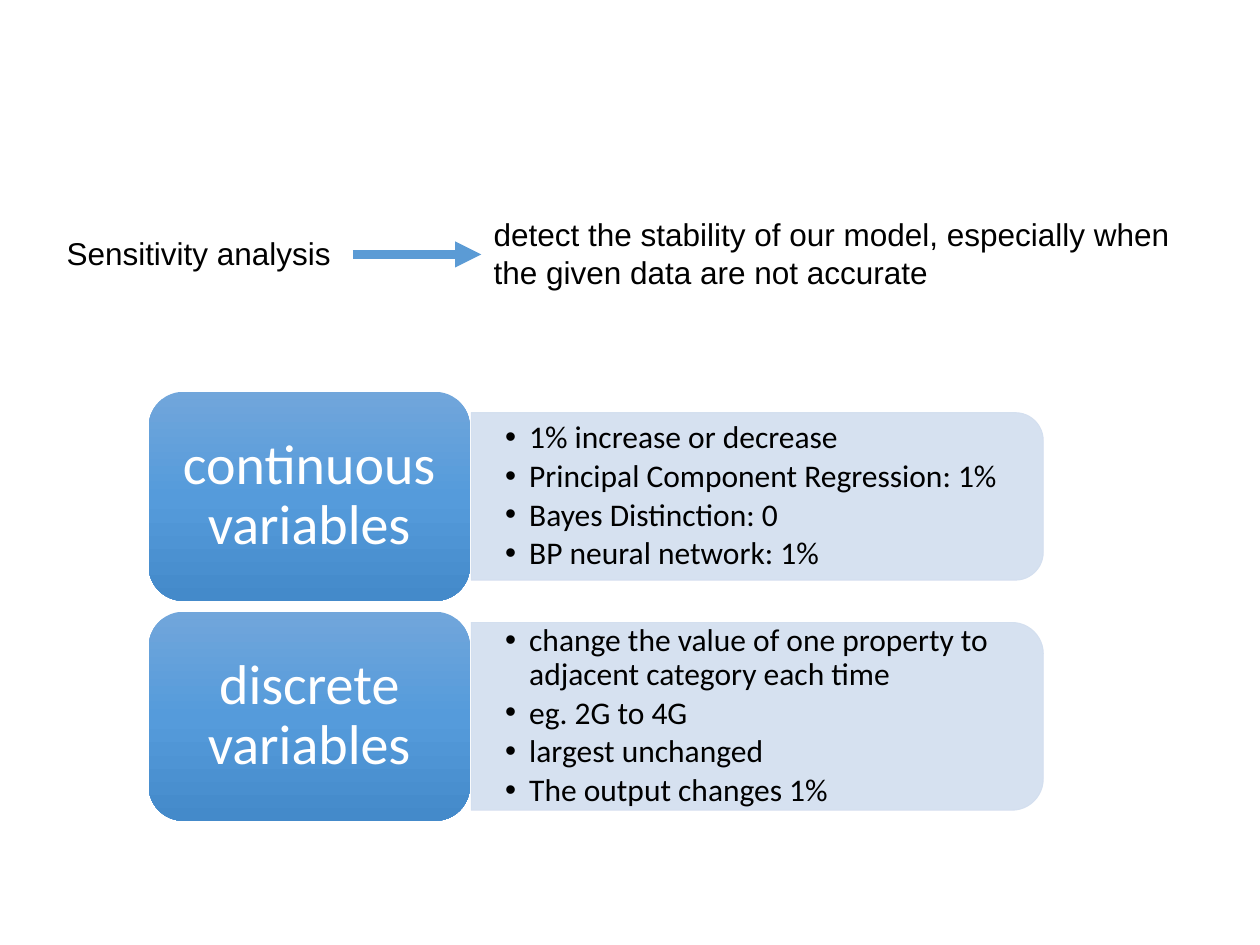
from copy import deepcopy

from lxml import etree
from pptx import Presentation
from pptx import util as u
from pptx.dml.color import RGBColor
from pptx.enum import shapes, text
from pptx.oxml import ns

COLORS = {
    "ink": "000000", "white": "FFFFFF", "arrow": "5B9BD5", "panel": "D2DEEF",
    "top": "71A6DB", "middle": "559BDB", "bottom": "448ACA",
}
WIDTH, HEIGHT = 10, 7.5

# Grid of the two rows: heading column, then panel column
HEAD_LEFT, HEAD_W, HEAD_H = 1.18, 2.55, 1.66
PANEL_LEFT, PANEL_W = 3.74, 4.54
FIRST_CENTER, ROW_PITCH = 3.94, 1.745
HEAD_INSET = 0.08
ROWS = [
    ("continuous variables", 1.33, [
        "1% increase or decrease",
        "Principal Component Regression: 1%",
        "Bayes Distinction: 0",
        "BP neural network: 1%"]),
    ("discrete variables", 1.49, [
        "change the value of one property to adjacent category each time",
        "eg. 2G to 4G",
        "largest unchanged",
        "The output changes 1%"]),
]

PLAIN = {"name": "Arial", "size": u.Pt(18)}
BULLET = {"name": "Calibri", "size": u.Pt(18)}
HEADING = {"name": "Calibri", "size": u.Pt(32)}


def rgb(key):
    return RGBColor.from_string(COLORS[key])


def inches(*lengths):
    return [u.Inches(length) for length in lengths]


def set_all(target, values):
    for key, value in values.items():
        setattr(target, key, value)


def add_xml(parent, tag, **attributes):
    return etree.SubElement(parent, ns.qn(tag), attributes)


def add_words(slide, box, lines, font, color="ink", insets=(0.1, 0.05),
              anchor=text.MSO_ANCHOR.TOP, layout=None, bullets=False):
    """Add a text box with one paragraph for each line."""
    frame = slide.shapes.add_textbox(*inches(*box)).text_frame
    side, end = inches(*insets)
    set_all(frame, {"word_wrap": True, "vertical_anchor": anchor,
                    "margin_left": side, "margin_right": side,
                    "margin_top": end, "margin_bottom": end})
    for number, line in enumerate(lines):
        paragraph = frame.add_paragraph() if number else frame.paragraphs[0]
        set_all(paragraph, layout or {})
        run = paragraph.add_run()
        run.text = line
        set_all(run.font, font)
        run.font.color.rgb = rgb(color)
        if bullets:
            props = paragraph._p.get_or_add_pPr()
            hang = u.Inches(0.19)
            props.set("marL", str(hang))
            props.set("indent", str(-hang))
            add_xml(props, "a:buFont", typeface="Arial")
            add_xml(props, "a:buChar", char="•")


def add_arrow(slide, start, end):
    arrow = slide.shapes.add_connector(
        shapes.MSO_CONNECTOR.STRAIGHT, *inches(*start, *end))
    arrow.line.color.rgb = rgb("arrow")
    arrow.line.width = u.Pt(5)
    add_xml(arrow.line._get_or_add_ln(), "a:tailEnd", type="triangle")
    add_xml(arrow._element.spPr, "a:effectLst")


def add_panel(slide, center_y, height):
    """Add the pale panel: a tab shape turned so its round end faces right."""
    center_x = PANEL_LEFT + PANEL_W / 2
    panel = slide.shapes.add_shape(
        shapes.MSO_SHAPE.ROUND_2_SAME_RECTANGLE,
        *inches(center_x - height / 2, center_y - PANEL_W / 2, height, PANEL_W))
    panel.rotation = 90
    panel.shadow.inherit = False
    panel.fill.solid()
    panel.fill.fore_color.rgb = rgb("panel")
    panel.line.color.rgb = rgb("panel")
    panel.line.width = u.Pt(0.5)
    for color in panel._element.spPr.iter(ns.qn("a:srgbClr")):
        add_xml(color, "a:alpha", val="90000")


def add_heading_block(slide, center_y):
    block = slide.shapes.add_shape(
        shapes.MSO_SHAPE.ROUNDED_RECTANGLE,
        *inches(HEAD_LEFT, center_y - HEAD_H / 2, HEAD_W, HEAD_H))
    block.shadow.inherit = False
    block.line.fill.background()
    block.fill.gradient()
    block.fill.gradient_angle = 270
    stop_list = next(block._element.spPr.iter(ns.qn("a:gsLst")))
    stop_list.append(deepcopy(stop_list[0]))
    stops = zip(block.fill.gradient_stops, ("top", "middle", "bottom"))
    for number, (stop, color) in enumerate(stops):
        stop.position = number / 2
        stop.color.rgb = rgb(color)


def add_row(slide, center_y, heading, panel_height, points):
    add_panel(slide, center_y, panel_height)
    text_height = panel_height - 0.14
    add_words(slide, (PANEL_LEFT, center_y - text_height / 2,
                      PANEL_W - 0.07, text_height),
              points, BULLET, insets=(0.27, 0.14),
              anchor=text.MSO_ANCHOR.MIDDLE, bullets=True,
              layout={"level": 1, "line_spacing": 0.9,
                      "space_after": u.Pt(2.7)})
    add_heading_block(slide, center_y)
    add_words(slide, (HEAD_LEFT + HEAD_INSET, center_y - HEAD_H / 2 + HEAD_INSET,
                      HEAD_W - 2 * HEAD_INSET, HEAD_H - 2 * HEAD_INSET),
              [heading], HEADING, "white", insets=(0.13, 0.07),
              anchor=text.MSO_ANCHOR.MIDDLE,
              layout={"alignment": text.PP_ALIGN.CENTER, "line_spacing": 0.9})


def main():
    deck = Presentation()
    deck.slide_width, deck.slide_height = inches(WIDTH, HEIGHT)
    slide = deck.slides.add_slide(deck.slide_layouts[6])

    # Definition: term, arrow, meaning
    add_words(slide, (3.82, 1.66, 5.67, 0.71),
              ["detect the stability of our model, especially when "
               "the given data are not accurate"], PLAIN)
    add_words(slide, (0.43, 1.81, 2.36, 0.4), ["Sensitivity analysis"], PLAIN)
    add_arrow(slide, (2.8, 2.02), (3.82, 2.02))

    # Kinds of variables with their findings
    for number, row in enumerate(ROWS):
        add_row(slide, FIRST_CENTER + number * ROW_PITCH, *row)

    deck.save("out.pptx")


if __name__ == "__main__":
    main()
